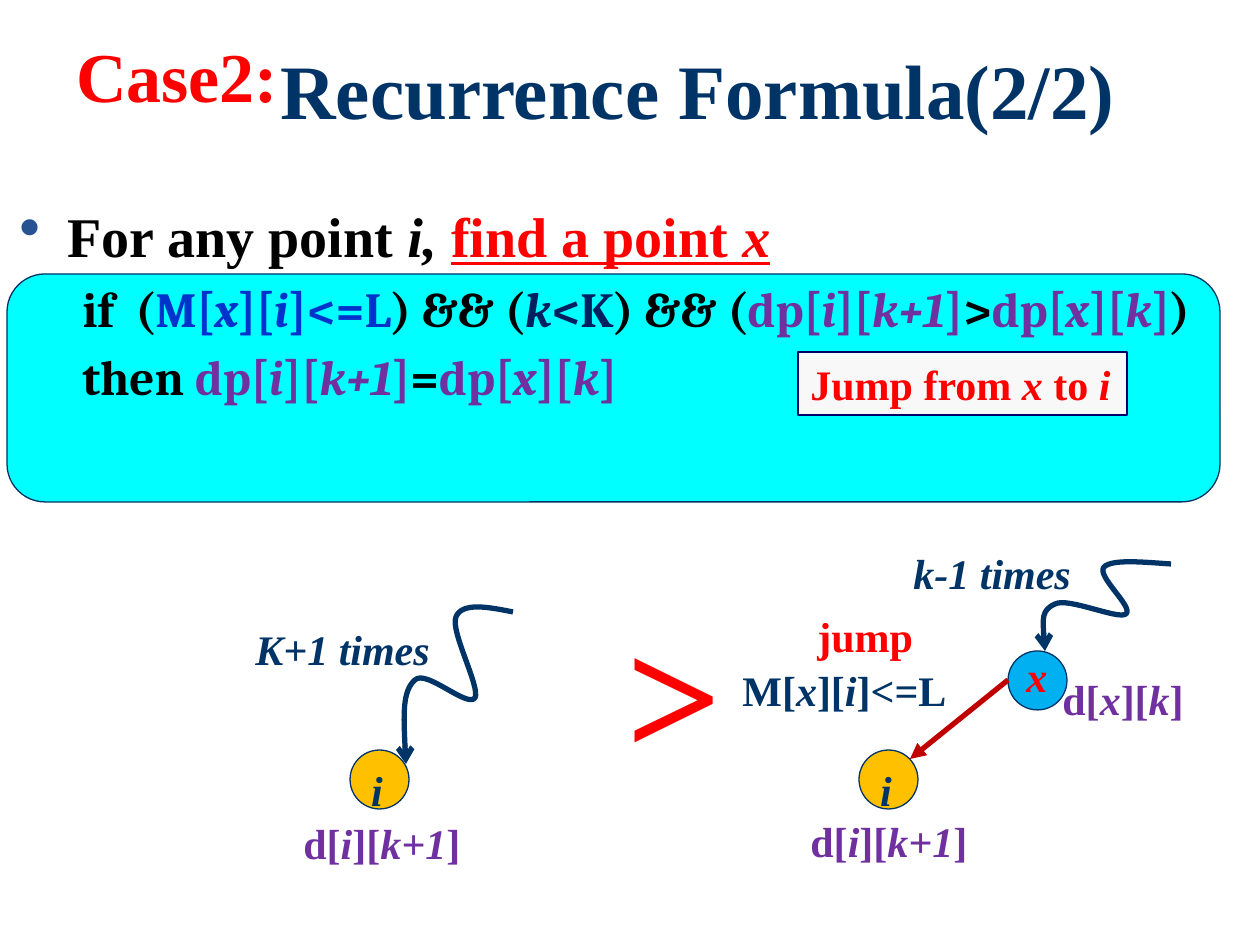
"""Build the slide on the second case of the recurrence formula."""
from dataclasses import dataclass

from lxml.etree import SubElement
from pptx import Presentation
from pptx.dml.color import RGBColor
from pptx.enum.shapes import MSO_CONNECTOR, MSO_SHAPE
from pptx.enum.text import MSO_ANCHOR, MSO_AUTO_SIZE, PP_ALIGN
from pptx.oxml.ns import qn
from pptx.shapes.base import BaseShape
from pptx.slide import Slide
from pptx.text.text import TextFrame, _Paragraph
from pptx.util import Emu, Pt

EMU_PER_PX = 914400 / 126
NAVY = RGBColor(0x00, 0x33, 0x66)
DEEP_NAVY = RGBColor(0x00, 0x20, 0x60)
FRAME_NAVY = RGBColor(0x00, 0x00, 0x66)
BLUE = RGBColor(0x00, 0x33, 0xCC)
SKY = RGBColor(0x00, 0xB0, 0xF0)
CYAN = RGBColor(0x00, 0xFF, 0xFF)
AMBER = RGBColor(0xFF, 0xC0, 0x00)
RED = RGBColor(0xFF, 0x00, 0x00)
DARK_RED = RGBColor(0xC0, 0x00, 0x00)
PURPLE = RGBColor(0x70, 0x30, 0xA0)
PALE = RGBColor(0xF8, 0xF8, 0xF8)
BLACK = RGBColor(0x00, 0x00, 0x00)
SERIF = "Times New Roman"
FORMULA_FONT = "Cambria"
NODE_SIZE = 59
LABEL_HEIGHT = 63
BULLET_INDENT = 48
FORMULA_INDENT = 63

Point = tuple[int, int]


@dataclass(frozen=True)
class Span:
    """Hold coloured text in which asterisks switch italics on and off."""
    text: str
    color: RGBColor
    underline: bool = False


@dataclass(frozen=True)
class Label:
    """Describe a one-line text box."""
    left: int
    top: int
    width: int
    span: Span
    height: int = LABEL_HEIGHT
    size: int = 24


@dataclass(frozen=True)
class Node:
    """Describe a round point of the jump diagram."""
    left: int
    top: int
    fill: RGBColor
    text: str = ""


@dataclass(frozen=True)
class Curve:
    """Describe a Bézier arrow by its start and its control points."""
    start: Point
    controls: tuple[Point, ...]


TARGET = Span("dp[*i*][*k+1*]", PURPLE)
SOURCE = Span("dp[*x*][*k*]", PURPLE)
HEADING = [
    Span("For any point *i, *", BLACK),
    Span("find a point* x*", RED, underline=True),
]
FORMULAS = [
    [
        Span("if  (", BLACK), Span("M[*x*][*i*]<=L", BLUE), Span(") && (", BLACK),
        Span("*k*<K", DEEP_NAVY), Span(") && (", BLACK),
        TARGET, Span(">", BLACK), SOURCE, Span(")", BLACK),
    ],
    [Span("then ", BLACK), TARGET, Span("=", BLACK), SOURCE],
]
NODES = [
    Node(350, 750, AMBER, "*i*"),
    Node(859, 750, AMBER, "*i*"),
    Node(1008, 651, SKY),
]
CURVES = [
    Curve((513, 612), ((488, 607), (462, 602), (456, 617), (450, 631), (481, 688), (475, 698),
                       (467, 708), (426, 669), (415, 680), (402, 691), (404, 727), (406, 764))),
    Curve((1171, 564), ((1142, 562), (1112, 559), (1104, 567), (1096, 576), (1134, 607), (1126, 614),
                        (1118, 620), (1068, 597), (1055, 604), (1041, 610), (1043, 630), (1045, 651))),
]
LABELS = [
    Label(64, 26, 229, Span("Case2:", RED), height=97, size=40),
    Label(243, 617, 202, Span("*K+1 times*", NAVY)),
    Label(730, 658, 232, Span("M[*x*][*i*]<=L", NAVY)),
    Label(901, 541, 192, Span("*k-1 times*", NAVY)),
    Label(614, 582, 122, Span(">", RED), height=217, size=96),
    Label(291, 811, 184, Span("d[*i*][*k+1*]", PURPLE)),
    Label(798, 809, 184, Span("d[*i*][*k+1*]", PURPLE)),
    Label(805, 604, 122, Span("jump", RED)),
    Label(1014, 644, 47, Span("*x*", RED)),
    Label(1050, 667, 147, Span("d[*x*][*k*]", PURPLE)),
]
JUMP_NOTE = Label(798, 352, 329, Span("Jump from *x *to *i*", RED))


def px(length: int) -> Emu:
    """Turn pixels into EMU."""
    return Emu(round(length * EMU_PER_PX))


def write_spans(paragraph: _Paragraph, spans: list[Span], size: int, font_name: str = SERIF) -> None:
    """Add bold runs for the spans."""
    for span in spans:
        for index, piece in enumerate(span.text.split("*")):
            if not piece:
                continue
            run = paragraph.add_run()
            run.text = piece
            font = run.font
            font.name, font.size, font.bold = font_name, Pt(size), True
            font.italic = index % 2 == 1
            font.color.rgb = span.color
            if span.underline:
                font.underline = True


def add_text_frame(slide: Slide, left: int, top: int, width: int, height: int) -> TextFrame:
    """Add a wrapping text box and return its text frame."""
    text_frame = slide.shapes.add_textbox(px(left), px(top), px(width), px(height)).text_frame
    text_frame.word_wrap = True
    return text_frame


def write_line(text_frame: TextFrame, span: Span, size: int) -> None:
    """Write one left-aligned line that does not wrap."""
    text_frame.word_wrap = False
    text_frame.vertical_anchor = MSO_ANCHOR.TOP
    text_frame.paragraphs[0].alignment = PP_ALIGN.LEFT
    write_spans(text_frame.paragraphs[0], [span], size)


def add_label(slide: Slide, label: Label) -> None:
    """Add a text box that fits its line."""
    text_frame = add_text_frame(slide, label.left, label.top, label.width, label.height)
    write_line(text_frame, label.span, label.size)
    text_frame.auto_size = MSO_AUTO_SIZE.SHAPE_TO_FIT_TEXT


def add_box(slide: Slide, kind: MSO_SHAPE, left: int, top: int, width: int, height: int,
            fill: RGBColor, line: RGBColor = NAVY) -> BaseShape:
    """Add a filled preset shape with a thin outline."""
    shape = slide.shapes.add_shape(kind, px(left), px(top), px(width), px(height))
    shape.shadow.inherit = False
    shape.fill.solid()
    shape.fill.fore_color.rgb = fill
    shape.line.color.rgb = line
    shape.line.width = Pt(0.75)
    return shape


def add_node(slide: Slide, node: Node) -> None:
    """Add a round point with its name."""
    shape = add_box(slide, MSO_SHAPE.OVAL, node.left, node.top, NODE_SIZE, NODE_SIZE, node.fill)
    if node.text:
        write_line(shape.text_frame, Span(node.text, NAVY), 24)


def style_arrow(shape: BaseShape, color: RGBColor, head: str) -> None:
    """Give a line its colour, width and arrowhead."""
    shape.line.color.rgb = color
    shape.line.width = Pt(3)
    SubElement(shape.line._get_or_add_ln(), qn("a:tailEnd"), type=head)


def add_curve(slide: Slide, curve: Curve) -> None:
    """Add a freeform whose segments are cubic Béziers."""
    builder = slide.shapes.build_freeform(*curve.start, scale=EMU_PER_PX)
    builder.add_line_segments(curve.controls, close=False)
    shape = builder.convert_to_shape()
    segments = list(shape._element.iter(qn("a:lnTo")))
    outline = segments[0].getparent()
    for first in range(0, len(segments), 3):
        bezier = SubElement(outline, qn("a:cubicBezTo"))
        for segment in segments[first:first + 3]:
            bezier.append(segment[0])
            outline.remove(segment)
    shape.shadow.inherit = False
    shape.fill.background()
    style_arrow(shape, NAVY, "arrow")


def add_jump_arrow(slide: Slide, start: Point, end: Point) -> None:
    """Add the straight arrow of the jump."""
    connector = slide.shapes.add_connector(MSO_CONNECTOR.STRAIGHT, *map(px, start + end))
    style_arrow(connector, DARK_RED, "triangle")
    SubElement(connector._element.spPr, qn("a:effectLst"))


def add_title(slide: Slide) -> None:
    """Add the slide title."""
    text_frame = add_text_frame(slide, 194, 37, 1008, 116)
    text_frame.vertical_anchor = MSO_ANCHOR.MIDDLE
    paragraph = text_frame.paragraphs[0]
    paragraph.alignment = PP_ALIGN.CENTER
    paragraph.line_spacing = 0.9
    write_spans(paragraph, [Span("Recurrence Formula(2/2)", NAVY)], 44)


def add_body(slide: Slide) -> None:
    """Add the bulleted heading and the formulas below it."""
    text_frame = add_text_frame(slide, 7, 195, 1237, 656)
    heading = text_frame.paragraphs[0]
    properties = heading._p.get_or_add_pPr()
    properties.set("marL", str(px(BULLET_INDENT)))
    properties.set("indent", str(px(-BULLET_INDENT)))
    SubElement(SubElement(properties, qn("a:buClr")), qn("a:srgbClr"), val="275393")
    SubElement(properties, qn("a:buSzPct"), val="110000")
    SubElement(properties, qn("a:buChar"), char="•")
    write_spans(heading, HEADING, 32)
    for spans in FORMULAS:
        paragraph = text_frame.add_paragraph()
        paragraph.level = 1
        paragraph.space_before = Pt(5.6)
        paragraph._p.get_or_add_pPr().set("marL", str(px(FORMULA_INDENT)))
        paragraph._p.get_or_add_pPr().set("indent", "0")
        write_spans(paragraph, spans, 28, FORMULA_FONT)


def main() -> None:
    """Build and save the presentation."""
    presentation = Presentation()
    presentation.slide_width, presentation.slide_height = px(1260), px(945)
    slide = presentation.slides.add_slide(presentation.slide_layouts[6])
    add_box(slide, MSO_SHAPE.ROUNDED_RECTANGLE, 7, 274, 1213, 228, CYAN)
    add_title(slide)
    add_body(slide)
    for node in NODES:
        add_node(slide, node)
    for curve in CURVES:
        add_curve(slide, curve)
    add_jump_arrow(slide, (1008, 680), (910, 759))
    for label in LABELS:
        add_label(slide, label)
    note = add_box(slide, MSO_SHAPE.RECTANGLE, JUMP_NOTE.left, JUMP_NOTE.top, JUMP_NOTE.width,
                   JUMP_NOTE.height, PALE, FRAME_NAVY)
    write_line(note.text_frame, JUMP_NOTE.span, JUMP_NOTE.size)


    presentation.save("out.pptx")


if __name__ == "__main__":
    main()
